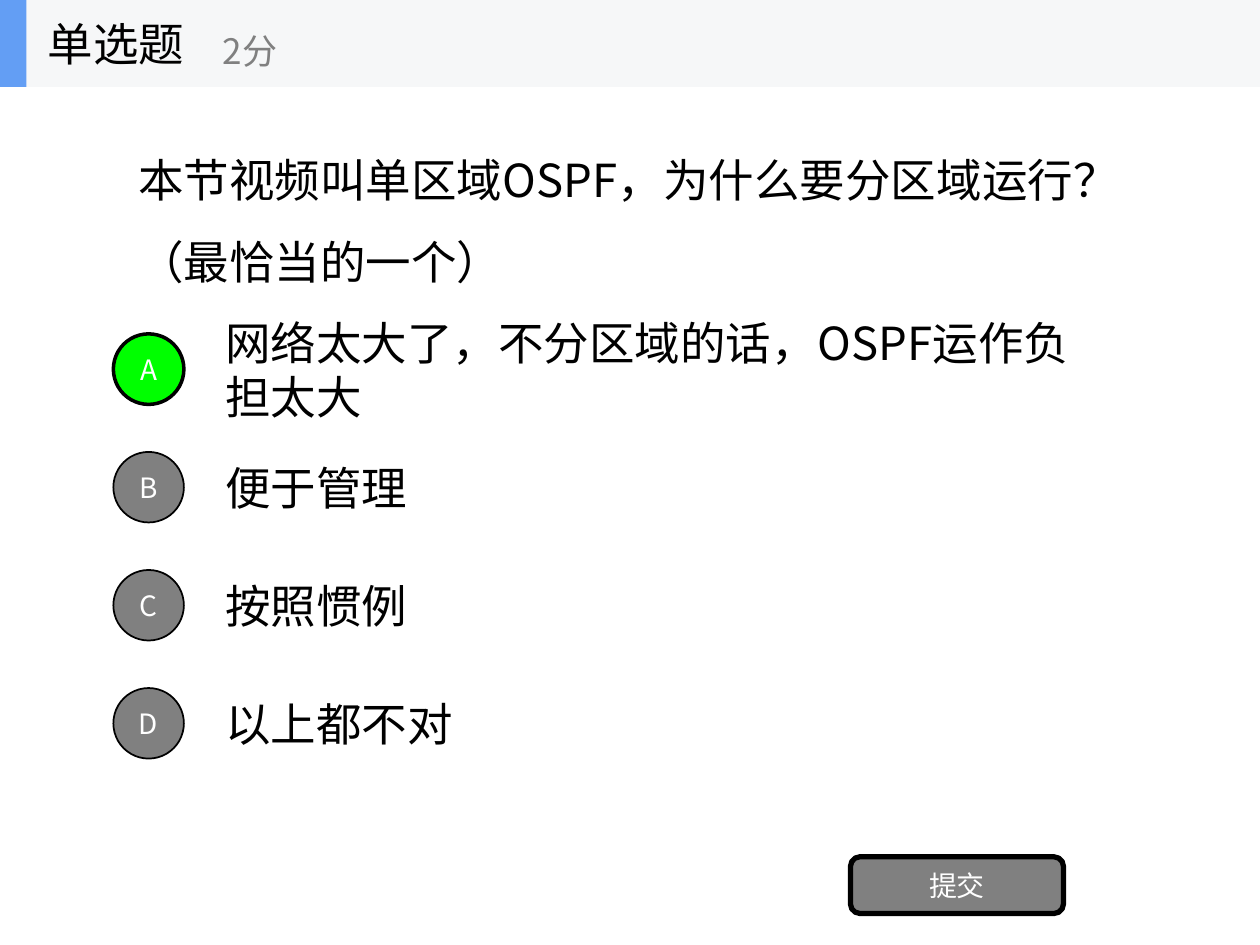
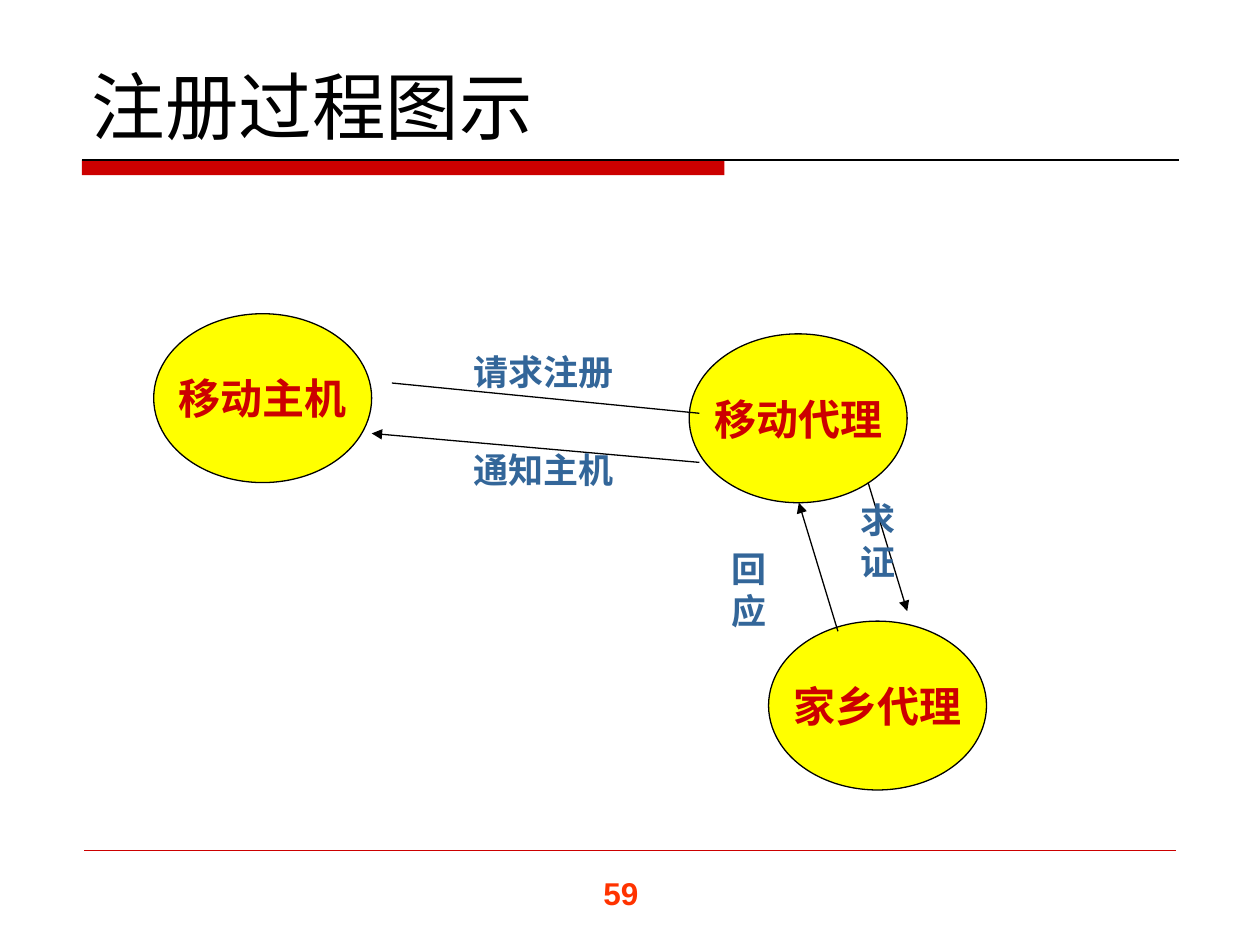
from lxml import etree
from pptx import Presentation
from pptx.dml.color import RGBColor
from pptx.enum.shapes import MSO_CONNECTOR, MSO_SHAPE
from pptx.enum.text import MSO_ANCHOR, PP_ALIGN
from pptx.oxml.ns import qn
from pptx.util import Inches, Pt

SLIDE_WIDTH, SLIDE_HEIGHT = Inches(10), Inches(7.5)
COLUMN, ROW = SLIDE_WIDTH // 100, SLIDE_HEIGHT // 75

BLACK = RGBColor(0x00, 0x00, 0x00)
WHITE = RGBColor(0xFF, 0xFF, 0xFF)
GRAY = RGBColor(0x80, 0x80, 0x80)
GREEN = RGBColor(0x00, 0xFF, 0x00)
PALE_GRAY = RGBColor(0xF6, 0xF7, 0xF8)
BLUE = RGBColor(0x63, 0x9E, 0xF4)
RED = RGBColor(0xCC, 0x00, 0x00)
ORANGE = RGBColor(0xFF, 0x33, 0x00)
YELLOW = RGBColor(0xFF, 0xFF, 0x00)
STEEL = RGBColor(0x33, 0x66, 0x99)

QUIZ_FONT = "Noto Sans CJK SC"
TITLE_FONT = "Comic Neue"
DIAGRAM_FONT = "DejaVu Sans"
NUMBER_FONT = "Arial"

OVAL, BOX, ROUNDED = MSO_SHAPE.OVAL, MSO_SHAPE.RECTANGLE, MSO_SHAPE.ROUNDED_RECTANGLE
STRAIGHT = MSO_CONNECTOR.STRAIGHT
LEFT, CENTER = PP_ALIGN.LEFT, PP_ALIGN.CENTER
TOP, MIDDLE, BOTTOM = MSO_ANCHOR.TOP, MSO_ANCHOR.MIDDLE, MSO_ANCHOR.BOTTOM


def grid(left, top, width, height):
    """Turn columns and rows into slide lengths."""
    return (round(left * COLUMN), round(top * ROW),
            round(width * COLUMN), round(height * ROW))


def write(shape, text, font_name, size, color, bold=False,
          align=LEFT, anchor=MIDDLE, wrap=False):
    frame = shape.text_frame
    frame.word_wrap = wrap
    frame.vertical_anchor = anchor
    paragraph = frame.paragraphs[0]
    paragraph.text = text
    paragraph.alignment = align
    font = paragraph.font
    font.name, font.size, font.bold = font_name, Pt(size), bold
    font.color.rgb = color
    defaults = paragraph._p.pPr.find(qn("a:defRPr"))
    etree.SubElement(defaults, qn("a:ea"), typeface=font_name)
    return paragraph


def add_text(slide, area, text, font_name, size, color, **style):
    text_box = slide.shapes.add_textbox(*grid(*area))
    return write(text_box, text, font_name, size, color, **style)


def add_filled(slide, kind, area, fill, line_width=0):
    """Add a flat shape, outlined in black when it has a line width."""
    shape = slide.shapes.add_shape(kind, *grid(*area))
    shape.shadow.inherit = False
    shape.fill.solid()
    shape.fill.fore_color.rgb = fill
    if line_width:
        shape.line.color.rgb = BLACK
        shape.line.width = Pt(line_width)
    else:
        shape.line.fill.background()
    return shape


def add_line(slide, start, end, color=BLACK, width=0.75, arrow=False):
    ends = grid(*start, *end)
    connector = slide.shapes.add_connector(STRAIGHT, *ends)
    connector.line.color.rgb = color
    connector.line.width = Pt(width)
    if arrow:
        etree.SubElement(connector.line._get_or_add_ln(), qn("a:tailEnd"), type="triangle")
    etree.SubElement(connector._element.spPr, qn("a:effectLst"))


def add_button(slide, kind, area, text, fill, line_width):
    button = add_filled(slide, kind, area, fill, line_width)
    write(button, text, QUIZ_FONT, 16, WHITE, align=CENTER)


def add_option(slide, index, text, is_answer):
    top = 25.8 + 9.37 * index
    add_text(slide, (16.9, top, 70, 7), text, QUIZ_FONT, 26, BLACK)
    add_button(slide, OVAL, (9, top + 0.7, 5.6, 5.6), "ABCD"[index],
               GREEN if is_answer else GRAY, 2 if is_answer else 1)


def add_quiz_header(slide, kind, points):
    add_filled(slide, BOX, (0, 0, 100, 6.9), PALE_GRAY)
    add_filled(slide, BOX, (0, 0, 2.1, 6.9), BLUE)
    add_text(slide, (2.8, 0, 20.8, 6.9), kind, QUIZ_FONT, 26, BLACK)
    add_text(slide, (16.7, 1.2, 25, 5.6), points, QUIZ_FONT, 20, GRAY)


def add_title_and_footer(slide, title, number):
    add_filled(slide, BOX, (6.5, 12.7, 51, 1.2), RED)
    add_line(slide, (6.5, 12.7), (93.6, 12.7))
    add_line(slide, (6.7, 67.5), (93.3, 67.5), RED, 0.25)
    add_text(slide, (46.9, 68.9, 7.5, 4), number, NUMBER_FONT, 18, ORANGE,
             bold=True, anchor=TOP)
    add_text(slide, (6.3, 3.3, 87.5, 9), title, TITLE_FONT, 42, BLACK,
             anchor=BOTTOM, wrap=True)


def add_node(slide, left, top, text):
    node = add_filled(slide, OVAL, (left, top, 17.3, 13.4), YELLOW, 0.75)
    write(node, text, DIAGRAM_FONT, 24, RED, bold=True, align=CENTER)


def add_message(slide, start, end, label_area, text, arrow=True):
    add_line(slide, start, end, arrow=arrow)
    add_text(slide, label_area, text, DIAGRAM_FONT, 20, STEEL, bold=True, anchor=TOP)


def build_quiz(slide):
    question = add_text(slide, (10, 4.7, 80, 23.4),
                        "本节视频叫单区域OSPF，为什么要分区域运行？（最恰当的一个）",
                        QUIZ_FONT, 26, BLACK, wrap=True)
    question.line_spacing = 1.5
    options = ["网络太大了，不分区域的话，OSPF运作负担太大",
               "便于管理", "按照惯例", "以上都不对"]
    for index, text in enumerate(options):
        add_option(slide, index, text, is_answer=index == 0)
    add_button(slide, ROUNDED, (67.5, 68, 16.9, 4.5), "提交", GRAY, 3)
    add_quiz_header(slide, "单选题", "2分")


def build_registration(slide):
    add_title_and_footer(slide, "注册过程图示", "59")
    add_node(slide, 12.2, 24.9, "移动主机")
    add_node(slide, 61, 49.3, "家乡代理")
    add_node(slide, 54.7, 26.5, "移动代理")
    add_message(slide, (31.1, 30.4), (55.5, 32.8), (36.6, 27.3, 15, 4.4),
                "请求注册", arrow=False)
    add_message(slide, (55.5, 36.7), (29.5, 34.4), (36.6, 35.1, 13.1, 4.4), "通知主机")
    add_message(slide, (68.9, 38.3), (72, 48.5), (67.3, 39.1, 7.5, 4.4), "求证")
    add_message(slide, (66.5, 50.1), (63.4, 39.9), (57.1, 43, 7.5, 4.4), "回应")


def main():
    presentation = Presentation()
    presentation.slide_width, presentation.slide_height = SLIDE_WIDTH, SLIDE_HEIGHT
    blank = presentation.slide_layouts[6]
    for build in (build_quiz, build_registration):
        build(presentation.slides.add_slide(blank))
    presentation.save("out.pptx")


if __name__ == "__main__":
    main()
